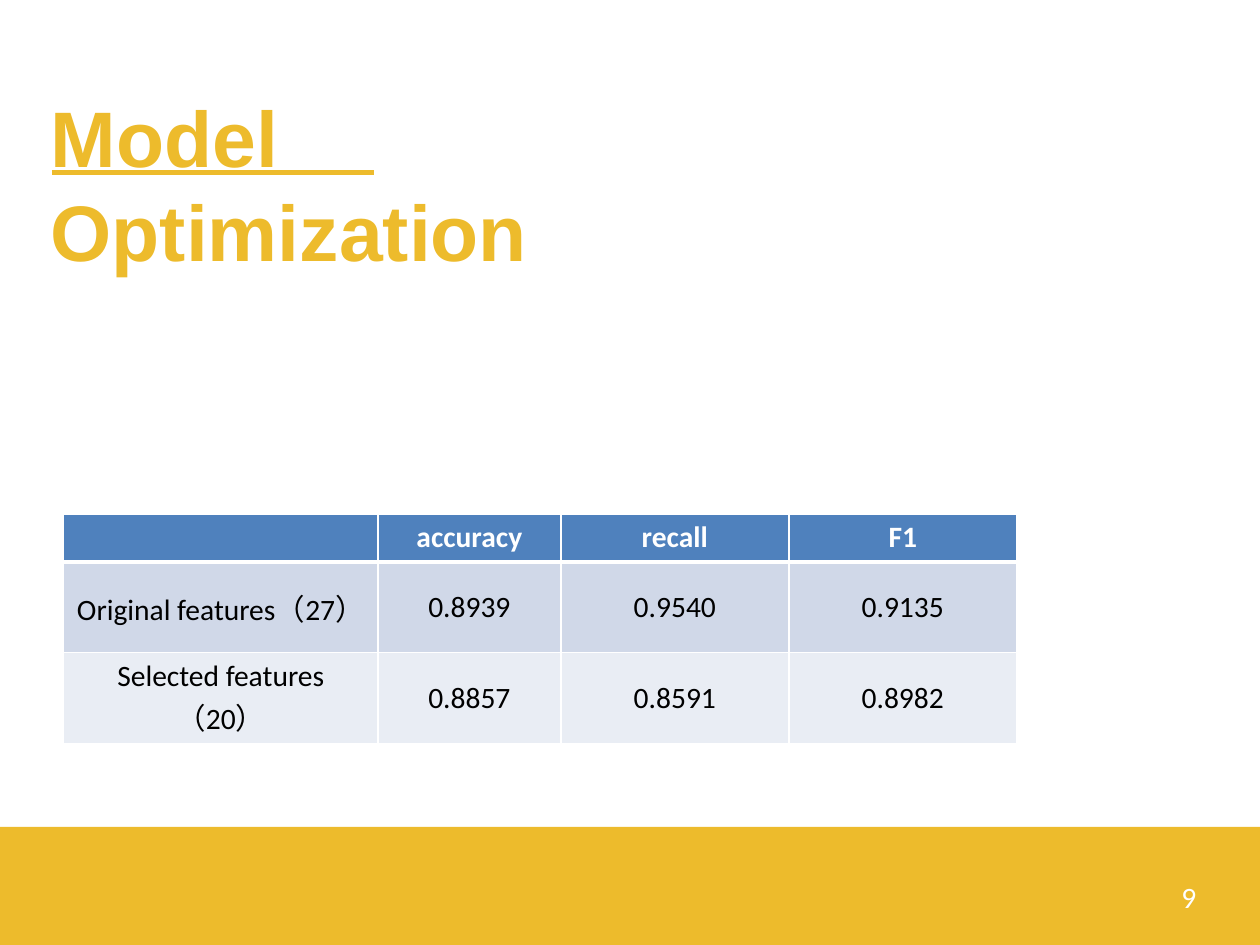
from lxml import etree
from pptx import Presentation
from pptx.dml.color import RGBColor
from pptx.enum.shapes import MSO_CONNECTOR, MSO_SHAPE
from pptx.enum.text import MSO_ANCHOR, PP_ALIGN
from pptx.oxml.ns import qn
from pptx.util import Inches, Pt

STRAIGHT, RECTANGLE = MSO_CONNECTOR.STRAIGHT, MSO_SHAPE.RECTANGLE
MIDDLE = MSO_ANCHOR.MIDDLE
LEFT, CENTER, RIGHT = PP_ALIGN.LEFT, PP_ALIGN.CENTER, PP_ALIGN.RIGHT
COLORS = {"gold": "EDBB2C", "white": "FFFFFF", "black": "000000",
          "header": "4F81BD", "odd": "D0D8E8", "even": "E9EDF4"}
COLORS = {name: RGBColor.from_string(code) for name, code in COLORS.items()}


def style(p, size, font, color, bold, align):
    p.alignment = align
    p.font.size, p.font.name, p.font.bold = Pt(size), font, bold
    p.font.color.rgb = COLORS[color]


def add_text(s, text, box, top_inset, *look):
    tf = s.shapes.add_textbox(*map(Inches, box)).text_frame
    tf.word_wrap = True
    tf.margin_left = tf.margin_right = tf.margin_bottom = 0
    tf.margin_top = Inches(top_inset)
    tf.text = text
    style(tf.paragraphs[0], *look)
    return tf.paragraphs[0]


prs = Presentation()
prs.slide_width, prs.slide_height = Inches(10.67), Inches(8)
W, H = prs.slide_width, prs.slide_height
s = prs.slides.add_slide(prs.slide_layouts[6])

footer = s.shapes.add_shape(RECTANGLE, 0, H * 7 // 8, W, H // 8)
footer.shadow.inherit = False
footer.fill.solid()
footer.fill.fore_color.rgb = COLORS["gold"]
footer.line.fill.background()

rows = [
    ("", "accuracy", "recall", "F1"),
    ("Original features（27）", "0.8939", "0.9540", "0.9135"),
    ("Selected features（20）", "0.8857", "0.8591", "0.8982"),
]
widths = [2.66, 1.55, 1.93, 1.93]
heights = [0.4, 0.77, 0.77]
table = s.shapes.add_table(3, 4, Inches(0.54), Inches(4.35),
                           Inches(sum(widths)), Inches(sum(heights))).table
for column, width in zip(table.columns, widths):
    column.width = Inches(width)
for row, height in zip(table.rows, heights):
    row.height = Inches(height)

for i, row in enumerate(rows):
    for j, text in enumerate(row):
        cell = table.cell(i, j)
        cell.text = text
        cell.vertical_anchor = MIDDLE
        cell.margin_left = cell.margin_right = Inches(0.11)
        style(cell.text_frame.paragraphs[0], 18, "Calibri",
              "black" if i else "white", i == 0, CENTER)
        tcPr = cell._tc.get_or_add_tcPr()
        for side in "LRTB":
            thick = (i, side) in ((0, "B"), (1, "T"))
            ln = etree.SubElement(tcPr, qn(f"a:ln{side}"), w=str(Pt(3 if thick else 1)))
            fill = etree.SubElement(ln, qn("a:solidFill"))
            etree.SubElement(fill, qn("a:srgbClr"), val=str(COLORS["white"]))
        cell.fill.solid()
        cell.fill.fore_color.rgb = COLORS[("header", "odd", "even")[i]]

rule = s.shapes.add_connector(STRAIGHT, Inches(0.44), Inches(1.46), Inches(3.17), Inches(1.46))
rule.line.color.rgb = COLORS["gold"]
rule.line.width = Pt(3)
etree.SubElement(rule._element.spPr, qn("a:effectLst"))

title = add_text(s, "Model Optimization", (0.43, 0.63, 4.14, 1.65), 0.12,
                 48, "Arial", "gold", True, LEFT)
add_text(s, "9", (7.68, 7.44, 2.45, 0.3), 0, 18, "Calibri", "white", False, RIGHT)

prs.save("out.pptx")
